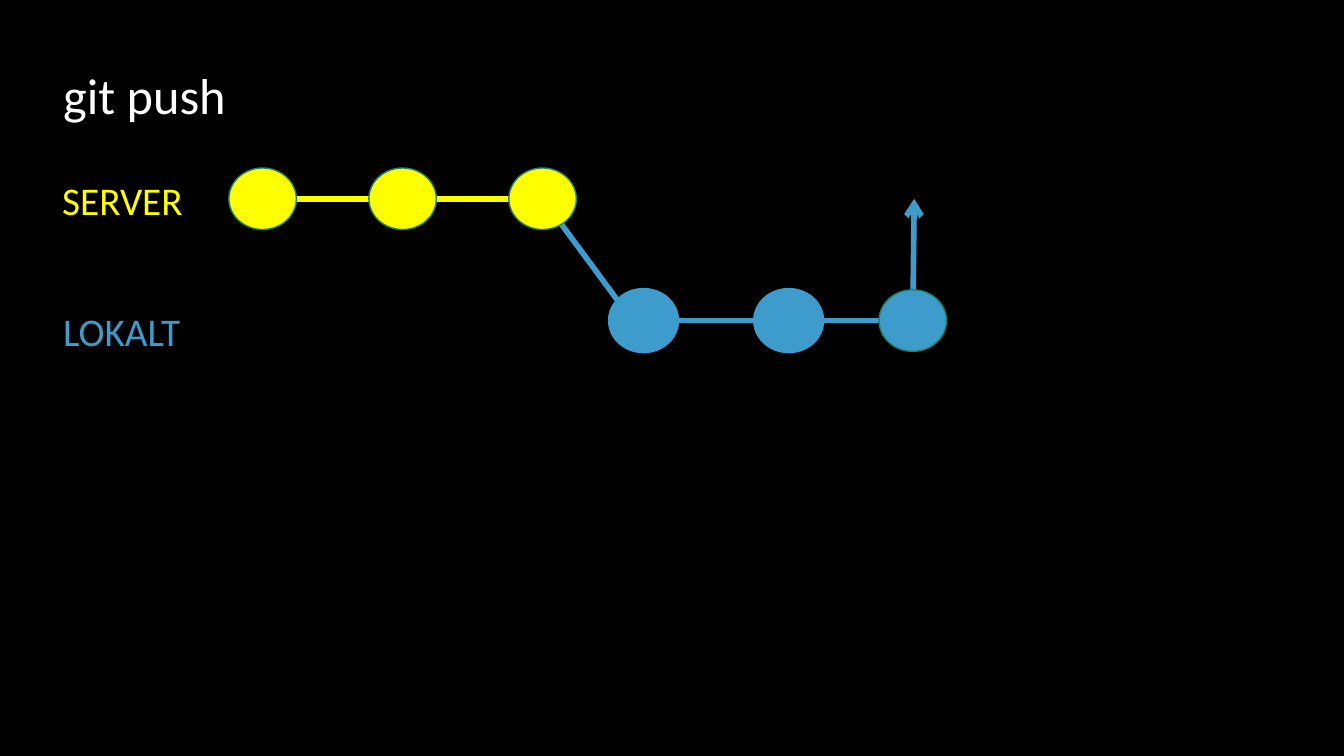
from itertools import pairwise

from lxml import etree
from pptx import Presentation
from pptx.dml.color import RGBColor
from pptx.enum.shapes import MSO_CONNECTOR, MSO_SHAPE
from pptx.oxml.ns import qn
from pptx.util import Pt

OVAL = MSO_SHAPE.OVAL
STRAIGHT = MSO_CONNECTOR.STRAIGHT

BLACK = RGBColor(0x00, 0x00, 0x00)
WHITE = RGBColor(0xFF, 0xFF, 0xFF)
YELLOW = RGBColor(0xFF, 0xFF, 0x00)
BLUE = RGBColor(0x3D, 0x9C, 0xCC)
GREEN = RGBColor(0x1E, 0x81, 0x68)

SERVER_Y = 142
LOCAL_Y = 229
SERVER_COMMITS = [187.6 + 100 * index for index in range(3)]
LOCAL_COMMITS = [459.7, 563.4, 652]


class SlideBuilder:
    font = "Calibri"
    commit_width = 48.2
    commit_height = 44
    link_width = 4

    def __init__(self, slide, background):
        self.slide = slide
        fill = slide.background.fill
        fill.solid()
        fill.fore_color.rgb = background

    def text(self, text, *, left, top, width, height, size, color):
        shape = self.slide.shapes.add_textbox(Pt(left), Pt(top), Pt(width), Pt(height))
        shape.text_frame.word_wrap = True
        run = shape.text_frame.paragraphs[0].add_run()
        run.text = text
        run.font.name = self.font
        run.font.size = Pt(size)
        run.font.color.rgb = color

    def link(self, start, end, color, arrow=False):
        connector = self.slide.shapes.add_connector(
            STRAIGHT, *(Pt(value) for value in (*start, *end)))
        connector.line.color.rgb = color
        connector.line.width = Pt(self.link_width)
        if arrow:
            line = connector.line._get_or_add_ln()
            etree.SubElement(line, qn("a:tailEnd"), type="arrow")
        etree.SubElement(connector._element.spPr, qn("a:effectLst"))

    def commit(self, x, y, color, outline, outline_width):
        shape = self.slide.shapes.add_shape(
            OVAL, Pt(x - self.commit_width / 2), Pt(y - self.commit_height / 2),
            Pt(self.commit_width), Pt(self.commit_height))
        shape.shadow.inherit = False
        shape.fill.solid()
        shape.fill.fore_color.rgb = color
        shape.line.color.rgb = outline
        shape.line.width = Pt(outline_width)


presentation = Presentation()
presentation.slide_width = Pt(960)
presentation.slide_height = Pt(540)
slide = presentation.slides.add_slide(presentation.slide_layouts[6])
builder = SlideBuilder(slide, BLACK)

builder.text("git push", left=38, top=42.5, width=184, height=51, size=36, color=WHITE)
for label, left, top, color in (("SERVER", 37.4, 122.4, YELLOW), ("LOKALT", 38, 216, BLUE)):
    builder.text(label, left=left, top=top, width=102, height=41, size=28, color=color)

builder.link((SERVER_COMMITS[-1], SERVER_Y), (457, 236), BLUE)
builder.link((LOCAL_COMMITS[-1], LOCAL_Y), (653, SERVER_Y), BLUE, arrow=True)
for commits, y, color in ((SERVER_COMMITS, SERVER_Y, YELLOW), (LOCAL_COMMITS, LOCAL_Y, BLUE)):
    for start, end in pairwise(commits):
        builder.link((start, y), (end, y), color)

for x in SERVER_COMMITS:
    builder.commit(x, SERVER_Y, YELLOW, GREEN, 1)
for x in LOCAL_COMMITS[:-1]:
    builder.commit(x, LOCAL_Y, BLUE, BLUE, 2.75)
builder.commit(LOCAL_COMMITS[-1], LOCAL_Y, BLUE, GREEN, 1)

presentation.save("out.pptx")
